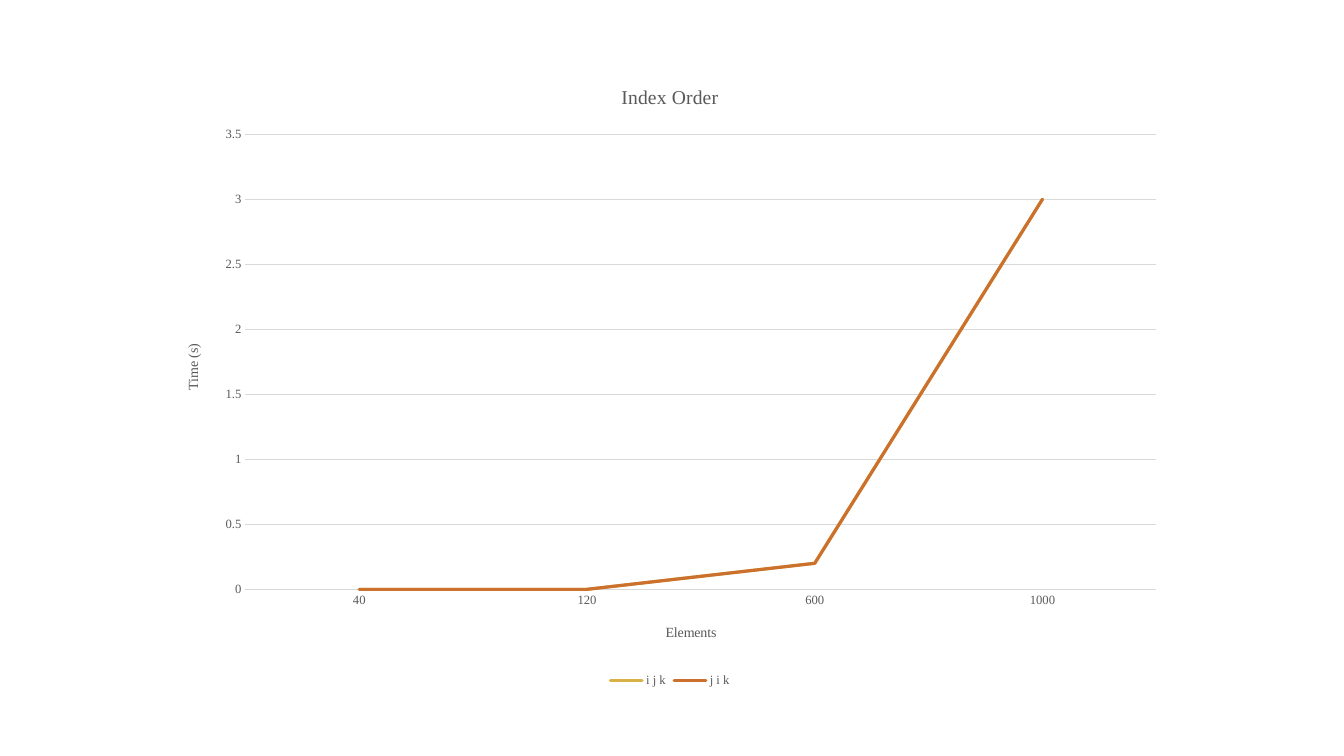
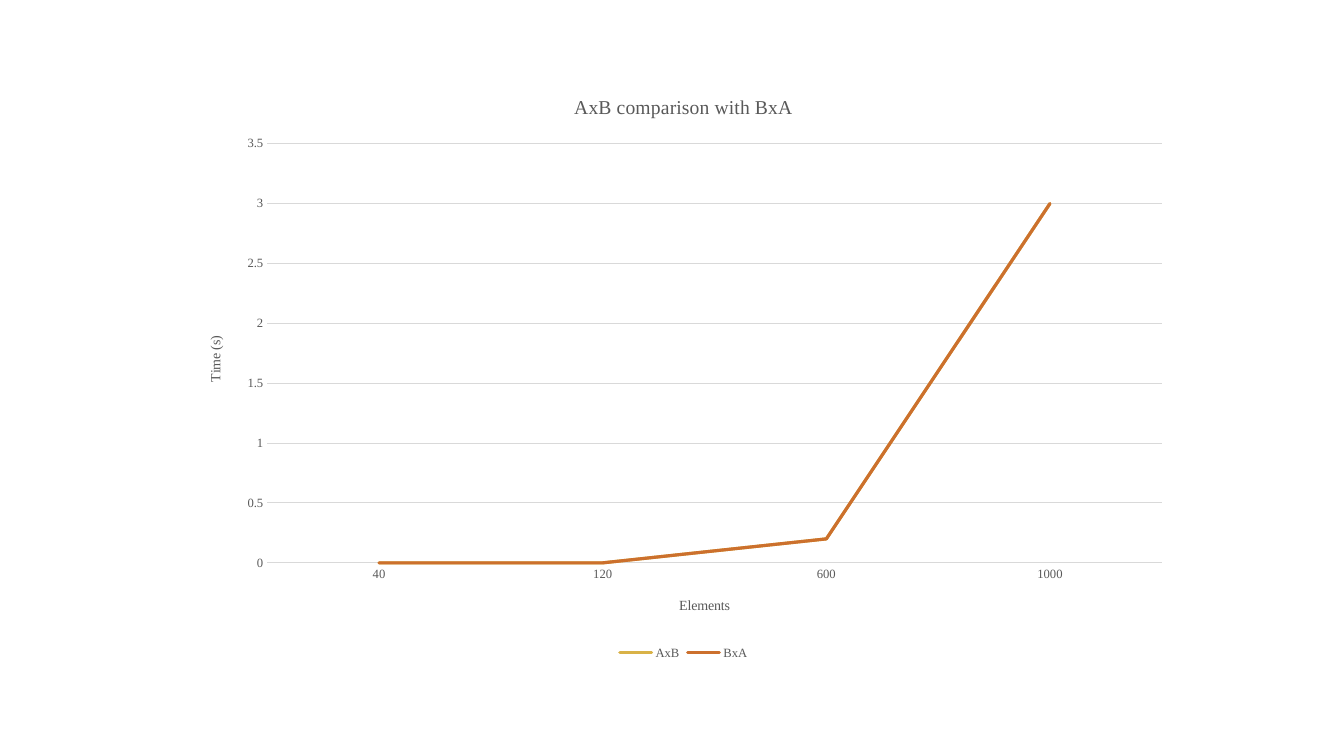
import dataclasses

import pptx
import pptx.chart.data
import pptx.dml.color
import pptx.enum.chart
import pptx.util

Inches = pptx.util.Inches
Pt = pptx.util.Pt

COLOURS = {
    "page": "FFFFFF",
    "text": "595959",
    "rule": "D9D9D9",
    "first": "D9B247",
    "second": "CC702D",
}
FONT = "Times New Roman"
CATEGORIES = ["40", "120", "600", "1000"]
TIMES = [0, 0, 0.2, 3]


@dataclasses.dataclass(frozen=True)
class TimingChart:
    title: str
    left: float
    top: float
    width: float
    height: float
    series: tuple[str, str]


CHARTS = [
    TimingChart("Index Order", 1.62, 0.62, 10.05, 6.24, ("i j k", "j i k")),
    TimingChart("AxB comparison with BxA", 1.84, 0.73, 9.88, 5.86, ("AxB", "BxA")),
]


def colour(name: str) -> pptx.dml.color.RGBColor:
    return pptx.dml.color.RGBColor.from_string(COLOURS[name])


def format_font(font, size: float) -> None:
    for name, value in {"name": FONT, "size": Pt(size), "bold": False}.items():
        setattr(font, name, value)
    font.color.rgb = colour("text")


def format_line(line, name: str, width: float) -> None:
    line.color.rgb = colour(name)
    line.width = Pt(width)


def add_title(owner, text: str, size: float) -> None:
    """Give a chart or an axis its title."""
    frame = (owner.chart_title if hasattr(owner, "chart_title")
             else owner.axis_title).text_frame
    frame.text = text
    format_font(frame.paragraphs[0].runs[0].font, size)


def format_axis(axis, title: str) -> None:
    marks = pptx.enum.chart.XL_TICK_MARK.NONE
    for name, value in {"major_tick_mark": marks, "minor_tick_mark": marks}.items():
        setattr(axis, name, value)
    format_font(axis.tick_labels.font, 9)
    add_title(axis, title, 10)


def add_timing_chart(page, timing: TimingChart) -> None:
    data = pptx.chart.data.CategoryChartData()
    data.categories = CATEGORIES
    for name in timing.series:
        data.add_series(name, TIMES)
    box = [Inches(length) for length in
           (timing.left, timing.top, timing.width, timing.height)]
    chart = page.shapes.add_chart(
        pptx.enum.chart.XL_CHART_TYPE.LINE, *box, data).chart
    format_font(chart.font, 10)
    add_title(chart, timing.title, 14)

    format_axis(chart.category_axis, "Elements")
    format_line(chart.category_axis.format.line, "rule", 0.75)
    times = chart.value_axis
    format_axis(times, "Time (s)")
    for name, value in {"minimum_scale": 0, "maximum_scale": 3.5,
                        "major_unit": 0.5}.items():
        setattr(times, name, value)
    times.format.line.fill.background()
    format_line(times.major_gridlines.format.line, "rule", 0.75)

    chart.has_legend = True
    chart.legend.position = pptx.enum.chart.XL_LEGEND_POSITION.BOTTOM
    chart.legend.include_in_layout = False
    format_font(chart.legend.font, 9)

    chart.plots[0].vary_by_categories = False
    for series, name in zip(chart.plots[0].series, ("first", "second")):
        series.smooth = False
        series.marker.style = pptx.enum.chart.XL_MARKER_STYLE.NONE
        format_line(series.format.line, name, 2.25)
        series._element.xpath("c:spPr/a:ln")[0].set("cap", "rnd")


def main() -> None:
    deck = pptx.Presentation()
    deck.slide_width, deck.slide_height = Inches(13.33), Inches(7.5)
    for timing in CHARTS:
        page = deck.slides.add_slide(deck.slide_layouts[6])
        page.background.fill.solid()
        page.background.fill.fore_color.rgb = colour("page")
        add_timing_chart(page, timing)
    deck.save("out.pptx")


if __name__ == "__main__":
    main()
